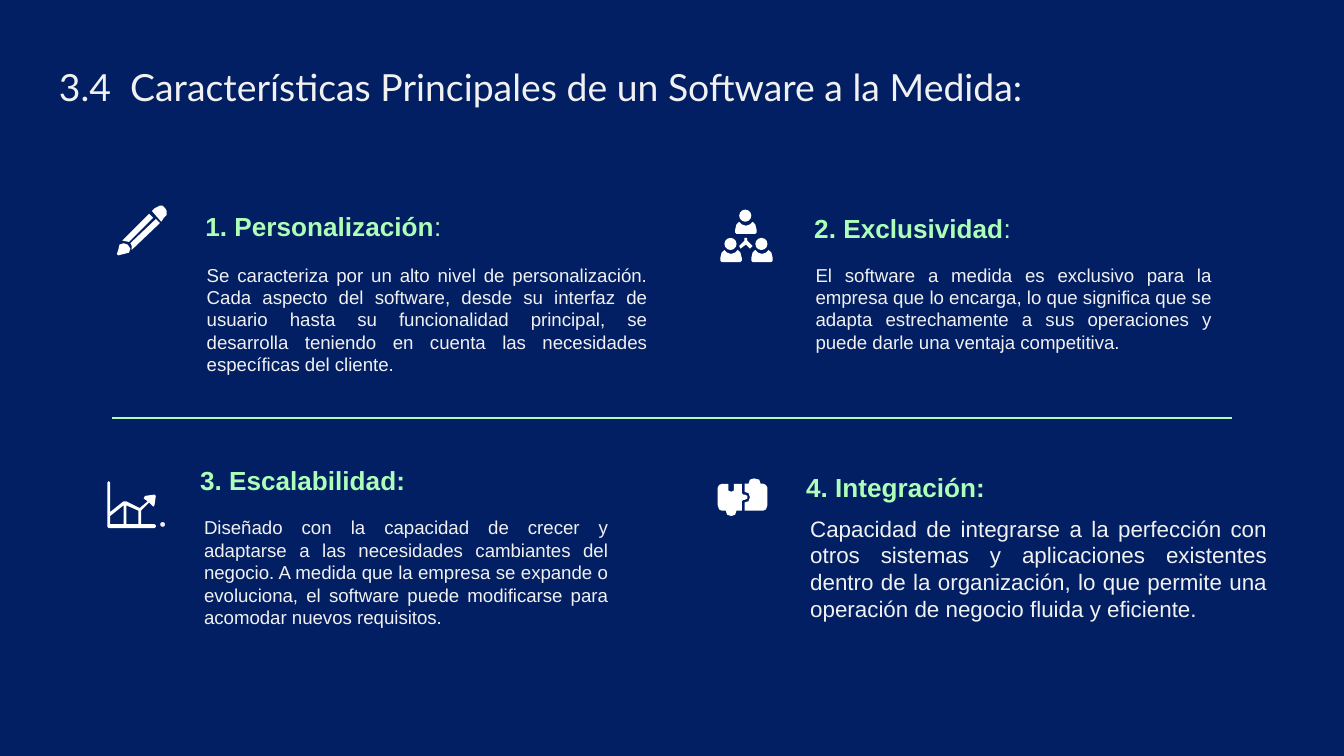
"""Build the slide on the main characteristics of custom software."""
from dataclasses import dataclass

from lxml.etree import SubElement
from pptx import Presentation
from pptx.dml.color import RGBColor
from pptx.enum.shapes import MSO_CONNECTOR, MSO_SHAPE
from pptx.enum.text import MSO_ANCHOR, PP_ALIGN
from pptx.oxml.ns import qn
from pptx.util import Inches, Pt


@dataclass(frozen=True)
class Theme:
    navy: RGBColor = RGBColor.from_string("021F64")
    pale: RGBColor = RGBColor.from_string("F1F1F1")
    mint: RGBColor = RGBColor.from_string("ADFFB7")
    white: RGBColor = RGBColor.from_string("FFFFFF")
    title_font: str = "Lato"
    text_font: str = "Arial"
    title_size: Pt = Pt(20)
    heading_size: Pt = Pt(14)
    large_size: Pt = Pt(12)
    body_size: Pt = Pt(10)


theme = Theme()
deck = Presentation()
deck.slide_width, deck.slide_height = Inches(10), Inches(10 * 9 / 16)
slide = deck.slides.add_slide(deck.slide_layouts[6])
slide.background.fill.solid()
slide.background.fill.fore_color.rgb = theme.navy


def add_text(place, words, font, size, color, indent=0, anchor=MSO_ANCHOR.TOP,
             bullet=""):
    frame = slide.shapes.add_textbox(*map(Inches, place)).text_frame
    frame.word_wrap = True
    frame.vertical_anchor = anchor
    frame.margin_left = frame.margin_right = Inches(0.1)
    frame.margin_top = frame.margin_bottom = Inches(0.1)
    paragraph = frame.paragraphs[0]
    paragraph.alignment = PP_ALIGN.JUSTIFY
    paragraph.font.name, paragraph.font.size = font, size
    paragraph.font.color.rgb = color
    paragraph.add_run().text = words
    properties = paragraph._p.get_or_add_pPr()
    properties.set("marL", str(Inches(indent)))
    properties.set("indent", str(Inches(-0.33 if bullet else 0)))
    if bullet:
        mark = properties.makeelement(qn("a:buChar"), {"char": bullet})
        properties.insert(0, mark)
        tint = properties.makeelement(qn("a:buClr"), {})
        SubElement(tint, qn("a:srgbClr"), val=str(color))
        properties.insert(0, tint)
    return paragraph


def add_outline(*contours):
    builder = slide.shapes.build_freeform(*contours[0][0], scale=Inches(0.01))
    builder.add_line_segments(contours[0][1:], close=True)
    for contour in contours[1:]:
        builder.move_to(*contour[0])
        builder.add_line_segments(contour[1:], close=True)
    outline = builder.convert_to_shape()
    outline.shadow.inherit = False
    outline.fill.solid()
    outline.fill.fore_color.rgb = theme.white
    outline.line.fill.background()


add_text((0.34, 0.38, 9.44, 0.63),
         "3.4  Características Principales de un Software a la Medida:",
         theme.title_font, theme.title_size, theme.pale)

headings = [
    ((0.93, 1.19, 4.47, 0.71), 0.5, "1. Personalización", ":"),
    ((5.79, 1.42, 3.33, 0.49), 0.17, "2. Exclusividad", ":"),
    ((1.22, 3.3, 3.33, 0.49), 0.17, "3. Escalabilidad:", ""),
    ((5.73, 3.35, 3.33, 0.49), 0.17, "4. Integración:", ""),
]
for place, indent, name, colon in headings:
    heading = add_text(place, name, theme.text_font, theme.heading_size,
                       theme.mint, indent, MSO_ANCHOR.BOTTOM)
    heading.runs[0].font.bold = True
    if colon:
        heading.add_run().text = colon

descriptions = [
    ((1.27, 1.86, 3.64, 1.32), 0.17, theme.body_size, "",
     "Se caracteriza por un alto nivel de personalización. Cada aspecto del "
     "software, desde su interfaz de usuario hasta su funcionalidad principal, "
     "se desarrolla teniendo en cuenta las necesidades específicas del cliente."),
    ((5.47, 1.86, 3.64, 1.18), 0.5, theme.body_size, "",
     "El software a medida es exclusivo para la empresa que lo encarga, lo que "
     "significa que se adapta estrechamente a sus operaciones y puede darle "
     "una ventaja competitiva."),
    ((0.92, 3.74, 3.7, 1.4), 0.5, theme.body_size, "•",
     "Diseñado con la capacidad de crecer y adaptarse a las necesidades "
     "cambiantes del negocio. A medida que la empresa se expande o evoluciona, "
     "el software puede modificarse para acomodar nuevos requisitos."),
    ((5.76, 3.73, 3.77, 1.18), 0.17, theme.large_size, "",
     "Capacidad de integrarse a la perfección con otros sistemas y "
     "aplicaciones existentes dentro de la organización, lo que permite una "
     "operación de negocio fluida y eficiente."),
]
for place, indent, size, bullet, words in descriptions:
    add_text(place, words, theme.text_font, size, theme.pale, indent,
             bullet=bullet)

divider = slide.shapes.add_connector(
    MSO_CONNECTOR.STRAIGHT, Inches(9.17), Inches(3.11), Inches(0.83), Inches(3.11))
divider.line.color.rgb = theme.mint
divider.line.width = Pt(0.75)
SubElement(divider._element.spPr, qn("a:effectLst"))

pencil = [
    [(111, 159), (91, 179), (96, 180), (114, 162)],
    [(119, 153), (115, 155), (113, 157), (120, 165), (122, 162), (124, 160),
     (124, 157), (123, 155), (121, 153)],
    [(116, 163), (97, 181), (98, 183), (98, 186), (119, 166)],
    [(92, 181), (89, 182), (88, 186), (87, 189), (88, 190), (92, 189),
     (96, 188), (97, 185), (95, 182)],
]
for part in pencil:
    add_outline(part)

torso = [(0, 9), (-2, 11), (-3, 15), (-3, 17), (-2, 18), (12, 18), (13, 17),
         (13, 15), (12, 11), (10, 9), (8, 11), (5, 12), (2, 11)]
for left, top in [(550, 156), (539, 177), (562, 177)]:
    head = slide.shapes.add_shape(MSO_SHAPE.OVAL, Inches(left / 100),
                                  Inches(top / 100), Inches(0.09), Inches(0.09))
    head.shadow.inherit = False
    head.fill.solid()
    head.fill.fore_color.rgb = theme.white
    head.line.fill.background()
    add_outline([(left + x, top + y) for x, y in torso])
add_outline([(554, 177), (554, 179), (550, 183), (551, 185), (555, 182),
             (558, 185), (560, 183), (556, 179), (556, 177)])

chart_frame = [
    (81, 358), (80, 359), (80, 392), (81, 393), (115, 393), (116, 392),
    (116, 391), (115, 390), (105, 390), (105, 380), (111, 374), (114, 377),
    (115, 376), (116, 369), (115, 368), (108, 369), (107, 371), (110, 373),
    (104, 378), (94, 373), (92, 373), (82, 381), (82, 359)]
first_area = [(92, 376), (92, 390), (82, 390), (82, 384)]
second_area = [(94, 376), (103, 380), (103, 390), (94, 390)]
add_outline(chart_frame, first_area, second_area)

left_piece = [
    (537, 360), (535, 361), (534, 363), (534, 376), (535, 379), (537, 380),
    (540, 380), (541, 383), (544, 384), (547, 383), (548, 380), (552, 380),
    (552, 373), (553, 372), (554, 372), (556, 371), (556, 369), (554, 368),
    (553, 368), (552, 367), (552, 360), (546, 360), (546, 362), (546, 365),
    (544, 366), (542, 365), (542, 362), (542, 360)]
right_piece = [
    (561, 356), (558, 357), (557, 360), (554, 360), (554, 366), (557, 367),
    (558, 370), (557, 373), (554, 374), (554, 380), (568, 380), (570, 379),
    (571, 376), (571, 363), (570, 361), (568, 360), (566, 360), (565, 357)]
for piece in (left_piece, right_piece):
    add_outline(piece)

deck.save("out.pptx")
